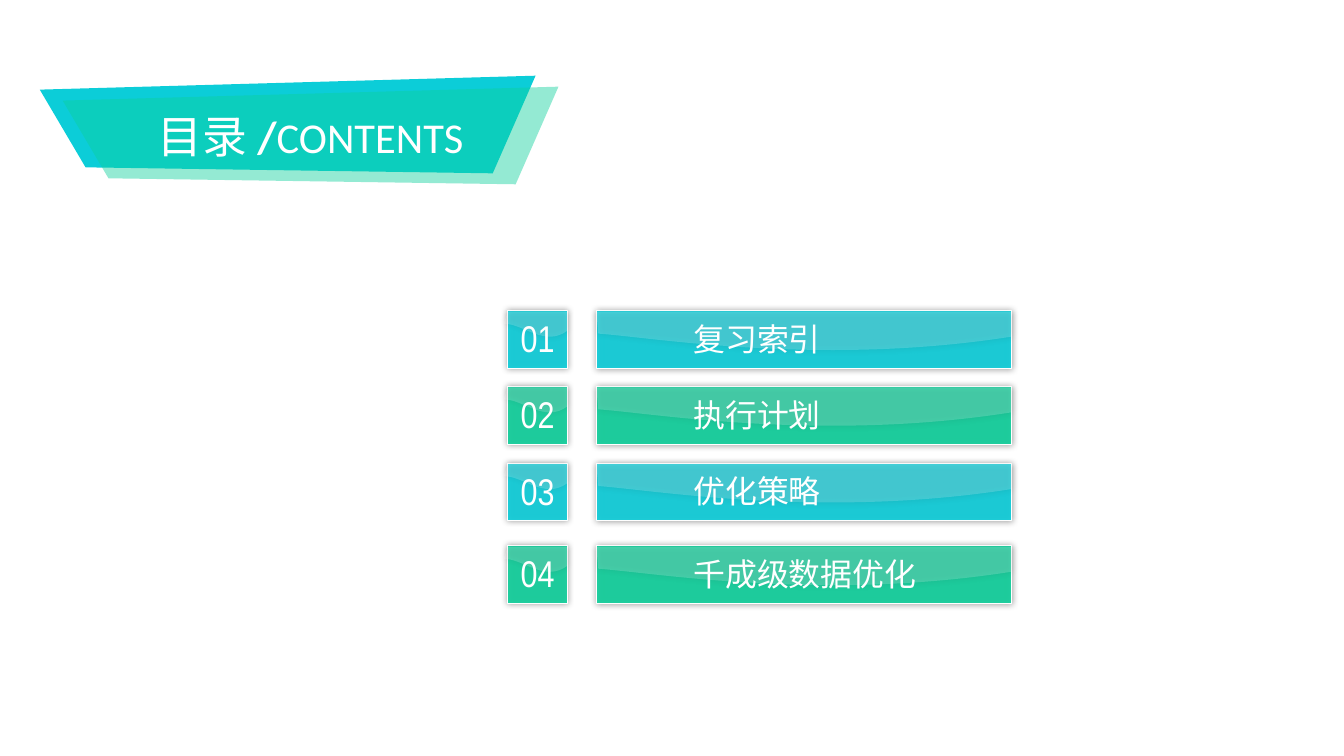
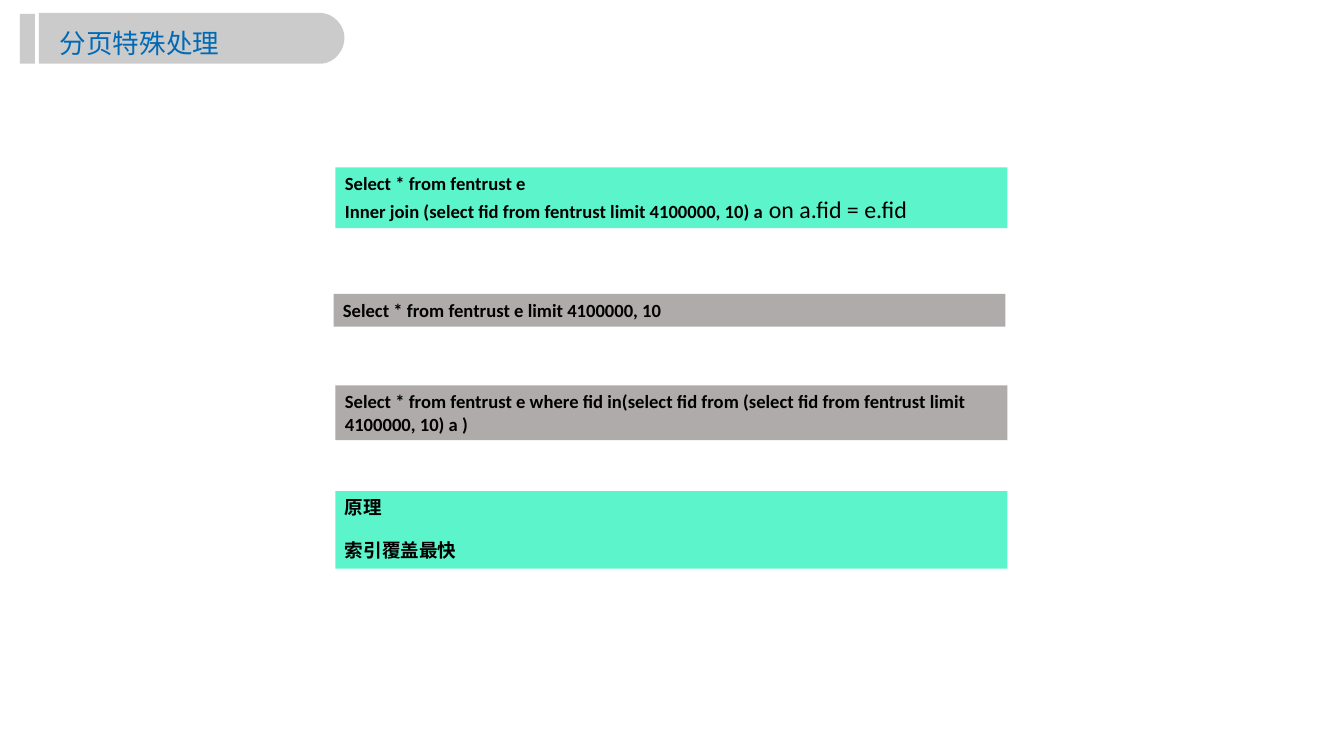
from dataclasses import dataclass

from lxml import etree
from pptx import Presentation
from pptx.dml.color import RGBColor
from pptx.enum.shapes import MSO_SHAPE
from pptx.enum.text import MSO_ANCHOR, MSO_AUTO_SIZE, PP_ALIGN
from pptx.oxml.ns import qn
from pptx.util import Pt

RECTANGLE = MSO_SHAPE.RECTANGLE
LEFT, CENTER = PP_ALIGN.LEFT, PP_ALIGN.CENTER
TOP, MIDDLE = MSO_ANCHOR.TOP, MSO_ANCHOR.MIDDLE
GROW = MSO_AUTO_SIZE.SHAPE_TO_FIT_TEXT

PX = 9525
SLIDE_SIZE = (1350, 759)


@dataclass(frozen=True)
class Theme:
    white: str = "FFFFFF"
    black: str = "000000"
    banner: str = "0CCDD8"
    cyan: str = "0ACEDA"
    green: str = "0DD09B"
    mint: str = "5CF5CB"
    stone: str = "AFABAB"
    tab: str = "BFBFBF"
    title: str = "006AB6"
    body_font: str = "Calibri"
    number_font: str = "Arial Narrow"
    title_font: str = "Arial"
    chinese_font: str = "Noto Sans CJK SC"
    contents_size: float = 33.8
    contents_latin_size: int = 32
    number_size: int = 28
    label_size: int = 24
    title_size: int = 20
    code_size: int = 14
    code_large_size: int = 18


THEME = Theme()


def code(text):
    return (text, THEME.body_font, THEME.code_size, True)


CONTENTS_TITLE = [
    ("目录 ", THEME.chinese_font, THEME.contents_size, False),
    ("/", THEME.body_font, THEME.contents_size, True),
    ("CONTENTS", THEME.body_font, THEME.contents_latin_size, False),
]
BANNER = [(40, 90), (86, 168), (495, 174), (538, 76)]
BANNER_SIZE = (498, 98)
BANNER_OFFSET = (23, 11)

CHAPTERS = [
    ("复习索引", 312),
    ("执行计划", 388),
    ("优化策略", 465),
    ("千成级数据优化", 548),
]
ROW_HEIGHT = 58
NUMBER_LEFT, NUMBER_WIDTH = 510, 60
BAR_LEFT, BAR_WIDTH = 599, 417
LABEL_LEFT, CHARACTER_WIDTH = 687, 32
NUMBER_SHEEN = [(0, 1), (60, 1), (60, 20), ((37, 37), (16, 13), (-4, 13))]
NUMBER_SHEEN_SIZE = (64, 25)
BAR_SHEEN = [
    (0, 1), (417, 1), (417, 26),
    ((227, 56), (58, 27), (2, 23)),
    ((1, 10), (1, 14), (0, 1)),
]
BAR_SHEEN_SIZE = (417, 38)

PAGING_TITLE = [("分页特殊处理", THEME.title_font, THEME.title_size, False)]
TITLE_TAB = [
    (39, 64), (39, 13), (323, 13),
    ((336, 14), (346, 26), (346, 38)),
    ((346, 51), (336, 63), (323, 64)),
]
TITLE_TAB_SIZE = (307, 51)
PANELS = [
    ((337, 168, 675, 61), THEME.mint, [
        [code("Select * from fentrust e")],
        [code("Inner join (select fid from fentrust limit 4100000, 10) a"),
         (" on a.fid = e.fid", THEME.body_font, THEME.code_large_size, False)],
    ], 0),
    ((337, 493, 675, 78), THEME.mint, [
        [code("原理")],
        [code("索引覆盖最快")],
    ], 16),
    ((335, 295, 675, 33), THEME.stone, [
        [code("Select * from fentrust e limit 4100000, 10")],
    ], 0),
    ((337, 387, 675, 55), THEME.stone, [
        [code("Select * from fentrust e where fid in(select fid from "
              "(select fid from fentrust limit 4100000, 10) a )")],
    ], 0),
]


def emu(*lengths):
    return [length * PX for length in lengths]


def paint(shape, color, opacity=100, outlined=False, glow=False):
    shape.shadow.inherit = False
    shape.fill.solid()
    shape.fill.fore_color.rgb = RGBColor.from_string(color)
    properties = shape.element.spPr
    if opacity < 100:
        fill_color = properties.find(qn("a:solidFill")).find(qn("a:srgbClr"))
        etree.SubElement(fill_color, qn("a:alpha"), val=str(opacity * 1000))
    if outlined:
        shape.line.color.rgb = RGBColor.from_string(THEME.white)
        shape.line.width = Pt(0.75)
    else:
        shape.line.fill.background()
    if glow:
        shadow = etree.SubElement(properties.find(qn("a:effectLst")), qn("a:outerShdw"),
                                  blurRad=str(Pt(5)), dist="0", dir="0")
        shadow_color = etree.SubElement(shadow, qn("a:srgbClr"), val=THEME.black)
        etree.SubElement(shadow_color, qn("a:alpha"), val="40000")
    return shape


def add_rectangle(slide, box, color, **style):
    return paint(slide.shapes.add_shape(RECTANGLE, *emu(*box)), color, **style)


def add_outline(slide, outline, size, color, offset=(0, 0), **style):
    ends = [part[-1] if len(part) == 3 else part for part in outline]
    left, top = (min(values) for values in zip(*ends))
    vertices = [(x + offset[0], y + offset[1]) for x, y in ends]
    builder = slide.shapes.build_freeform(*vertices[0], scale=float(PX))
    builder.add_line_segments(vertices[1:], close=True)
    shape = builder.convert_to_shape()
    shape.width, shape.height = emu(*size)
    geometry = next(shape.element.iter(qn("a:pathLst")))[0]
    geometry.set("w", str(size[0]))
    geometry.set("h", str(size[1]))
    for part, segment in zip(outline, list(geometry)):
        if len(part) == 3:
            curve = etree.Element(qn("a:cubicBezTo"))
            for x, y in part:
                etree.SubElement(curve, qn("a:pt"), x=str(x - left), y=str(y - top))
            geometry.replace(segment, curve)
    return paint(shape, color, **style)


def write(shape, paragraphs, color, align=LEFT, anchor=TOP, wrap=True, gap=0, grow=True):
    frame = shape.text_frame
    frame.word_wrap = wrap
    frame.vertical_anchor = anchor
    if grow:
        frame.auto_size = GROW
    for index, runs in enumerate(paragraphs):
        paragraph = frame.add_paragraph() if index else frame.paragraphs[0]
        paragraph.alignment = align
        if index and gap:
            paragraph.space_before = Pt(gap)
        for text, font_name, size, bold in runs:
            run = paragraph.add_run()
            run.text = text
            run.font.size = Pt(size)
            run.font.bold = bold
            run.font.color.rgb = RGBColor.from_string(color)
            run.font.name = font_name
            etree.SubElement(run.font._element, qn("a:ea"), typeface=font_name)
    return frame


def add_text(slide, box, runs, color, **style):
    return write(slide.shapes.add_textbox(*emu(*box)), [runs], color, **style)


def add_tile(slide, left, top, width, sheen, sheen_size, color):
    add_rectangle(slide, (left, top, width, ROW_HEIGHT), color,
                  opacity=89, outlined=True, glow=True)
    add_outline(slide, sheen, sheen_size, THEME.white,
                offset=(left, top), opacity=18, glow=True)


def build_contents(slide):
    add_outline(slide, BANNER, BANNER_SIZE, THEME.banner)
    front = add_outline(slide, BANNER, BANNER_SIZE, THEME.green,
                        offset=BANNER_OFFSET, opacity=44)
    write(front, [CONTENTS_TITLE], THEME.white, align=CENTER, anchor=MIDDLE, grow=False)
    for index, (label, top) in enumerate(CHAPTERS):
        color = (THEME.cyan, THEME.green)[index % 2]
        add_tile(slide, NUMBER_LEFT, top, NUMBER_WIDTH,
                 NUMBER_SHEEN, NUMBER_SHEEN_SIZE, color)
        add_text(slide, (NUMBER_LEFT, top, NUMBER_WIDTH, 55),
                 [(f"{index + 1:02d}", THEME.number_font, THEME.number_size, False)],
                 THEME.white, align=CENTER, wrap=False)
        add_tile(slide, BAR_LEFT, top, BAR_WIDTH, BAR_SHEEN, BAR_SHEEN_SIZE, color)
        add_text(slide, (LABEL_LEFT, top + 4, 20 + CHARACTER_WIDTH * len(label), 48),
                 [(label, THEME.body_font, THEME.label_size, False)],
                 THEME.white, wrap=False)


def build_paging(slide):
    add_outline(slide, TITLE_TAB, TITLE_TAB_SIZE, THEME.tab, opacity=80)
    add_rectangle(slide, (20, 14, 15, 50), THEME.tab, opacity=80)
    frame = add_text(slide, (53, 17, 299, 42), PAGING_TITLE, THEME.title)
    frame.margin_left, frame.margin_right = emu(7, 7)
    frame.margin_top, frame.margin_bottom = emu(4, 4)
    frame.paragraphs[0].line_spacing = 1.2
    for box, color, paragraphs, gap in PANELS:
        write(add_rectangle(slide, box, color), paragraphs, THEME.black, gap=gap)


def main():
    presentation = Presentation()
    presentation.slide_width, presentation.slide_height = emu(*SLIDE_SIZE)
    blank = presentation.slide_layouts[6]
    for build in (build_contents, build_paging):
        build(presentation.slides.add_slide(blank))
    presentation.save("out.pptx")


if __name__ == "__main__":
    main()
